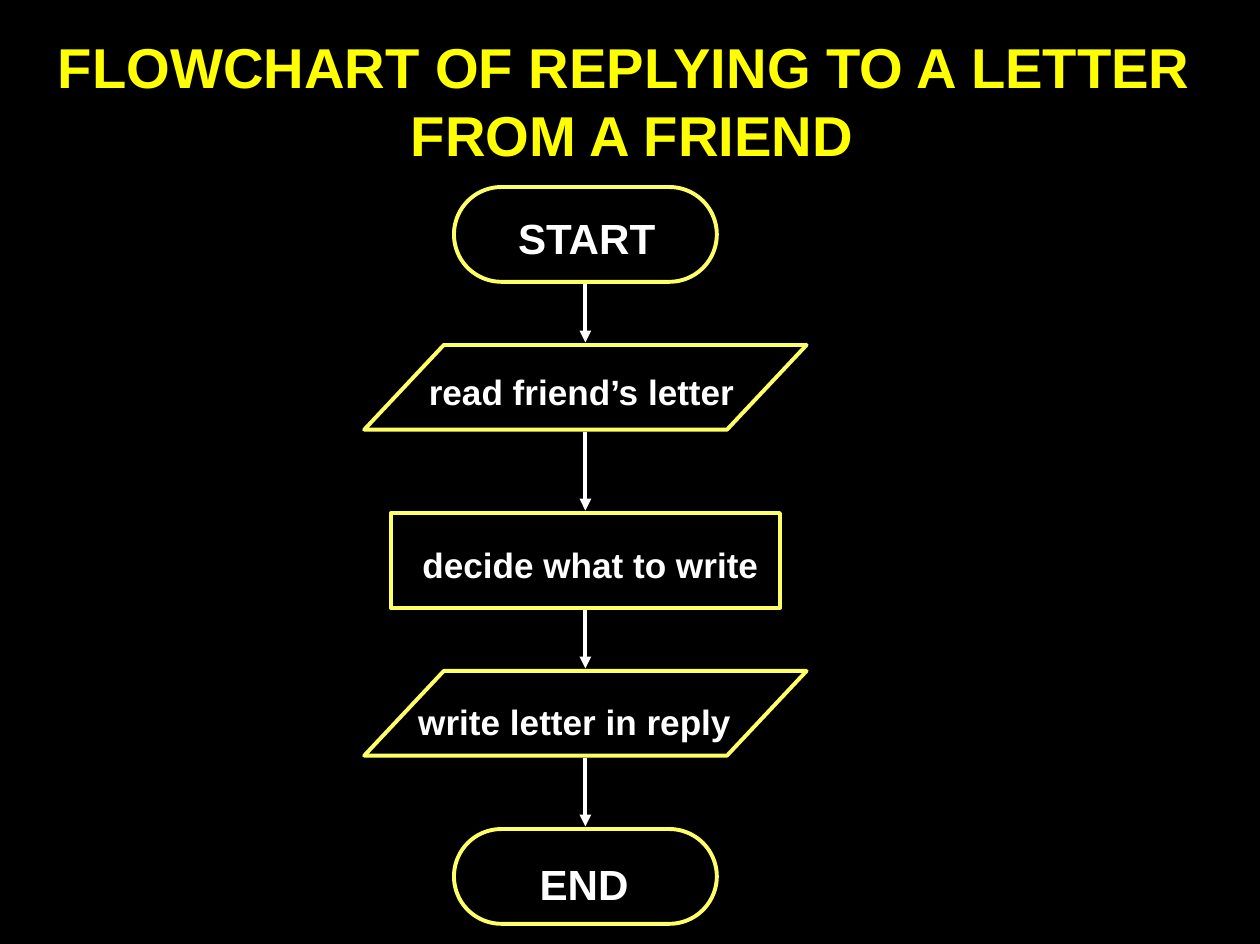
from dataclasses import dataclass
from itertools import pairwise

from lxml import etree
from pptx import Presentation
from pptx.dml.color import RGBColor
from pptx.enum.shapes import MSO_CONNECTOR, MSO_SHAPE
from pptx.enum.text import MSO_ANCHOR, PP_ALIGN
from pptx.oxml.ns import qn
from pptx.slide import Slide
from pptx.text.text import TextFrame
from pptx.util import Inches, Pt

ROUND = MSO_SHAPE.ROUNDED_RECTANGLE
SLANT = MSO_SHAPE.PARALLELOGRAM
BOX = MSO_SHAPE.RECTANGLE
STRAIGHT = MSO_CONNECTOR.STRAIGHT
MIDDLE, TOP = MSO_ANCHOR.MIDDLE, MSO_ANCHOR.TOP
CENTER = PP_ALIGN.CENTER


@dataclass(frozen=True)
class Theme:
    font: str = "Arial"
    back: RGBColor = RGBColor(0, 0, 0)
    title: RGBColor = RGBColor(255, 255, 0)
    edge: RGBColor = RGBColor(255, 255, 102)
    text: RGBColor = RGBColor(255, 255, 255)
    head: int = 32
    large: int = 24
    small: int = 20
    lead: float = 38.75
    line: float = 2.25


@dataclass(frozen=True)
class Kind:
    shape: MSO_SHAPE
    width: float  # columns
    height: float  # rows
    size: int
    bend: float | None = None


@dataclass(frozen=True)
class Step:
    text: str
    kind: Kind
    top: float  # rows
    right: float  # text shift in columns
    down: float  # text shift in rows


THEME = Theme()
WIDTH, HEIGHT = Inches(9.97), Inches(7.47)
AXIS = 46.46  # column on which the flow is centred
GAP = 0.27  # rows between an arrow and a step

END = Kind(ROUND, 20.86, 10.04, THEME.large, 0.5)
DATA = Kind(SLANT, 35.11, 8.97, THEME.small, 0.94)
TASK = Kind(BOX, 30.89, 10.04, THEME.small)

TITLE = ["FLOWCHART OF REPLYING TO A LETTER", " FROM A FRIEND"]
STEPS = [
    Step("START", END, 19.81, 0.1, 0.3),
    Step("read friend’s letter", DATA, 36.55, -0.3, 0.4),
    Step("decide what to write", TASK, 54.35, 0.4, 0.4),
    Step("write letter in reply", DATA, 71.08, -0.85, 0.85),
    Step("END", END, 87.82, -0.1, 0.75),
]


def col(count: float) -> int:
    """Length of a number of columns, 100 to the slide."""
    return round(count * WIDTH / 100)


def row(count: float) -> int:
    """Length of a number of rows, 100 to the slide."""
    return round(count * HEIGHT / 100)


def write(frame: TextFrame, lines: list[str], size: int, color: RGBColor) -> None:
    frame.margin_left = frame.margin_right = 0
    frame.margin_top = frame.margin_bottom = 0
    frame.text = "\n".join(lines)
    for para in frame.paragraphs:
        para.alignment = CENTER
        font = para.font
        font.name, font.size, font.bold = THEME.font, Pt(size), True
        font.color.rgb = color


def draw_title(slide: Slide) -> None:
    box = slide.shapes.add_textbox(col(3.7), row(3.35), col(91.7), row(14.5))
    frame = box.text_frame
    write(frame, TITLE, THEME.head, THEME.title)
    frame.word_wrap = True
    frame.vertical_anchor = TOP
    for para in frame.paragraphs:
        para.line_spacing = Pt(THEME.lead)


def draw_step(slide: Slide, step: Step) -> None:
    kind = step.kind
    shape = slide.shapes.add_shape(
        kind.shape, col(AXIS - kind.width / 2), row(step.top),
        col(kind.width), row(kind.height))
    if kind.bend is not None:
        shape.adjustments[0] = kind.bend
    shape.shadow.inherit = False
    shape.fill.background()
    shape.line.color.rgb = THEME.edge
    shape.line.width = Pt(THEME.line)
    frame = shape.text_frame
    write(frame, [step.text], kind.size, THEME.text)
    frame.word_wrap = False
    frame.vertical_anchor = MIDDLE
    # A margin on one side moves centred text by half its size
    frame.margin_left = col(max(0, 2 * step.right))
    frame.margin_right = col(max(0, -2 * step.right))
    frame.margin_top = row(2 * step.down)


def draw_arrow(slide: Slide, above: Step, below: Step) -> None:
    start = above.top + above.kind.height + GAP
    arrow = slide.shapes.add_connector(
        STRAIGHT, col(AXIS), row(start), col(AXIS), row(below.top - GAP))
    arrow.line.color.rgb = THEME.text
    arrow.line.width = Pt(THEME.line)
    props = arrow.line._get_or_add_ln()
    etree.SubElement(props, qn("a:tailEnd"), type="triangle", w="med", len="med")
    etree.SubElement(arrow._element.spPr, qn("a:effectLst"))


def main() -> None:
    deck = Presentation()
    deck.slide_width, deck.slide_height = WIDTH, HEIGHT
    slide = deck.slides.add_slide(deck.slide_layouts[6])
    fill = slide.background.fill
    fill.solid()
    fill.fore_color.rgb = THEME.back

    # Heading
    draw_title(slide)

    # Flow from start to end
    for step in STEPS:
        draw_step(slide, step)
    for above, below in pairwise(STEPS):
        draw_arrow(slide, above, below)

    deck.save("out.pptx")


main()
